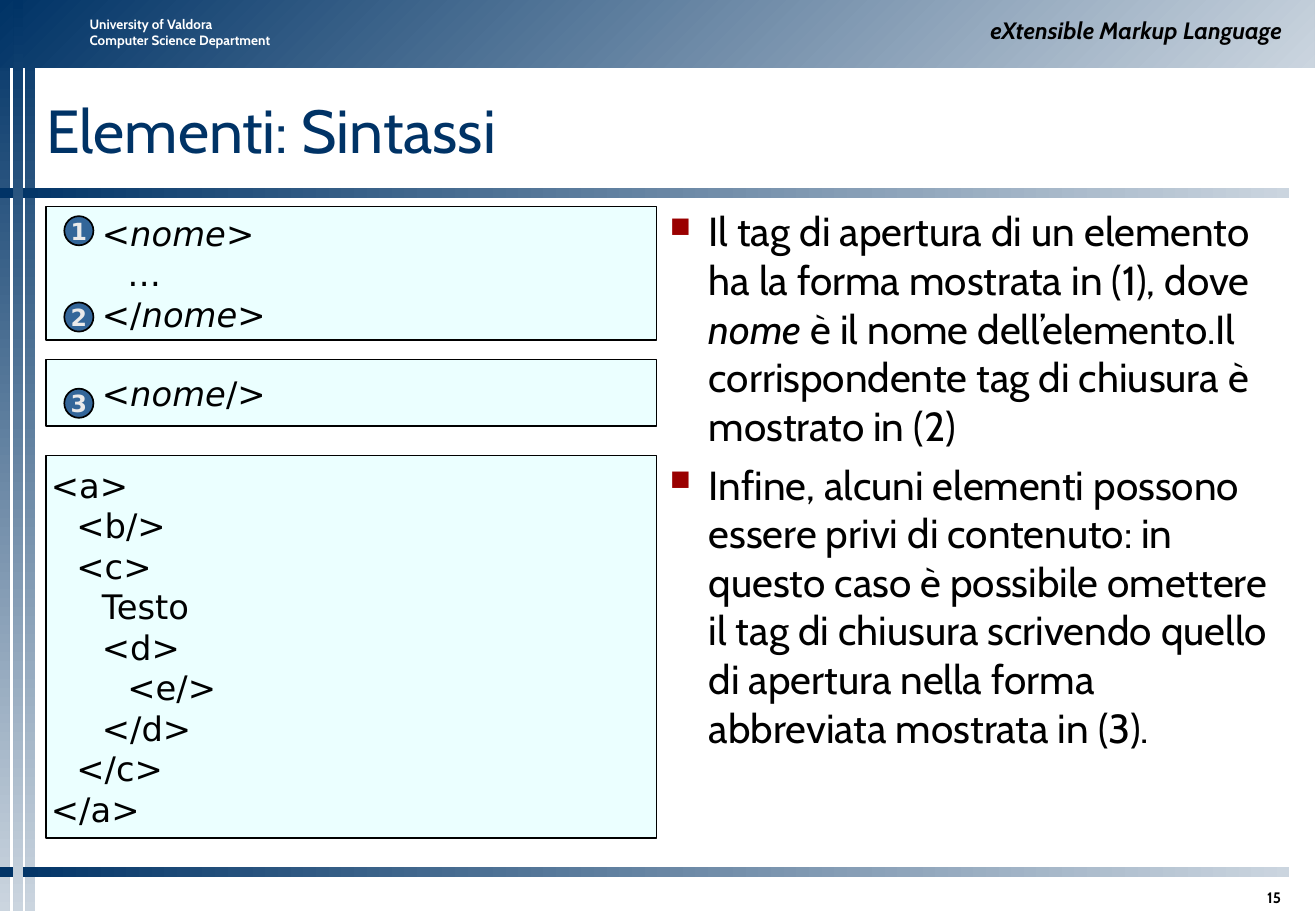
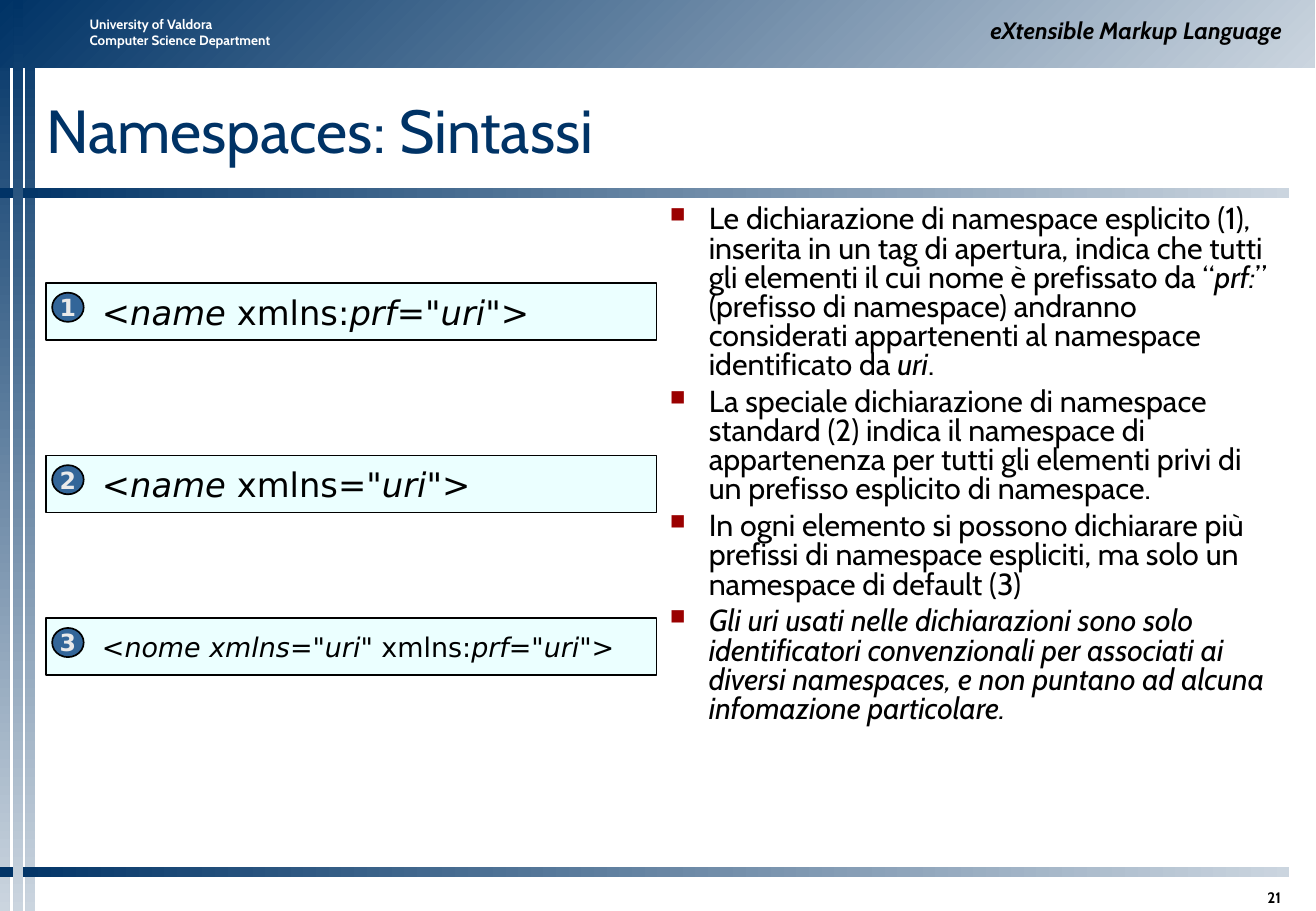
import pptx
import pptx.dml.color
import pptx.enum.shapes
import pptx.enum.text
import pptx.util
from dataclasses import dataclass
from lxml import etree

PX = 9144  # 100 px to the inch
SHAPE = pptx.enum.shapes.MSO_SHAPE
ANCHOR = pptx.enum.text.MSO_ANCHOR
ALIGN = pptx.enum.text.PP_ALIGN


@dataclass(frozen=True)
class Theme:
    navy: str = "003366"
    mist: str = "CBD5DF"
    white: str = "FFFFFF"
    black: str = "000000"
    code_fill: str = "EBFFFF"
    badge_fill: str = "336699"
    badge_text: str = "EAEAEA"
    bullet: str = "9A0000"
    font: str = "Cabin"
    code_font: str = "DejaVu Sans"
    title_size: int = 36
    code_size: int = 20
    header_size: int = 14
    badge_size: int = 14
    page_size: int = 9
    department_size: int = 8


THEME = Theme()

# Bands from back to front: box, gradient angle (navy to mist)
BANDS = [
    ((0, 0, 8, 750), 270),
    ((21, 0, 8, 750), 270),
    ((0, 0, 1083, 56), 315),
    ((0, 155, 1062, 8), 0),
    ((0, 714, 1062, 8), 0),
    ((11, 0, 8, 750), 270),
]
DEPARTMENT = ["University of Valdora", "Computer Science Department"]
COURSE = ["*eXtensible Markup Language*"]

CODE_LEFT, CODE_WIDTH, CODE_INDENT = 38, 503, 21
BODY_BOX = (542, 170, 521, 542)
BADGE_HEIGHT = 24

# Text between asterisks is italic; each leading tab is one code indent.
SLIDES = [
    {
        "title": "Elementi: Sintassi",
        "page": "15",
        "body_format": {"size": 24, "before": 6},
        "body": [
            "Il tag di apertura di un elemento ha la forma mostrata in (1), dove *nome* "
            "è il nome dell’elemento.Il corrispondente tag di chiusura è mostrato in (2)",
            "Infine, alcuni elementi possono essere privi di contenuto: in questo caso è "
            "possibile omettere il tag di chiusura scrivendo quello di apertura nella "
            "forma abbreviata mostrata in (3).",
        ],
        "code": [  # top, height, size, lines
            (170, 110, THEME.code_size, ["\t\t<*nome*>", "\t\t\t…", "\t\t</*nome*>"]),
            (296, 55, THEME.code_size, ["\t\t<*nome*/>"]),
            (375, 315, THEME.code_size, [
                "<a>", "\t<b/>", "\t<c>", "\t\tTesto", "\t\t<d>",
                "\t\t\t<e/>", "\t\t</d>", "\t</c>", "</a>",
            ]),
        ],
        "badges": {"left": 53, "width": 24, "tops": [178, 249, 320]},
    },
    {
        "title": "Namespaces: Sintassi",
        "page": "21",
        "body_format": {"size": 18, "before": 4.5, "spacing": 0.8},
        "body": [
            "Le dichiarazione di namespace esplicito (1), inserita in un tag di apertura, "
            "indica che tutti gli elementi il cui nome è prefissato da “*prf:*” (prefisso "
            "di namespace) andranno considerati appartenenti al namespace identificato "
            "da *uri*.",
            "La speciale dichiarazione di namespace standard (2) indica il namespace di "
            "appartenenza per tutti gli elementi privi di un prefisso esplicito di "
            "namespace.",
            "In ogni elemento si possono dichiarare più prefissi di namespace espliciti, "
            "ma solo un namespace di default (3)",
            "*Gli uri usati nelle dichiarazioni sono solo identificatori convenzionali "
            "per associati ai diversi namespaces, e non puntano ad alcuna infomazione "
            "particolare.*",
        ],
        "code": [
            (233, 47, THEME.code_size, ['\t\t<*name* xmlns:*prf*="*uri*">']),
            (375, 47, THEME.code_size, ['\t\t<*name* xmlns="*uri*">']),
            (509, 47, 16, ['\t\t<*nome xmlns*="*uri*" xmlns:*prf*="*uri*">']),
        ],
        "badges": {"left": 43, "width": 26, "tops": [241, 383, 517]},
    },
]


def emu(box):
    return [v * PX for v in box]


def rgb(color):
    return pptx.dml.color.RGBColor.from_string(color)


def add_bullet(p):
    p_pr = p._p.get_or_add_pPr()
    p_pr.set("marL", str(32 * PX))
    p_pr.set("indent", str(-32 * PX))
    ns = "{http://schemas.openxmlformats.org/drawingml/2006/main}"
    color = etree.SubElement(p_pr, ns + "buClr")
    etree.SubElement(color, ns + "srgbClr", val=THEME.bullet)
    etree.SubElement(p_pr, ns + "buSzPct", val="70000")
    etree.SubElement(p_pr, ns + "buChar", char="■")


def put_text(sp, lines, *, size, color=THEME.black, font=THEME.font, bold=False,
             align=ALIGN.LEFT, anchor=ANCHOR.TOP, margins=(0, 0, 0, 0), wrap=True,
             before=0, spacing=None, bullet=False):
    """Fill a shape with one paragraph per line, reading italics and indents."""
    tf = sp.text_frame
    tf.auto_size = pptx.enum.text.MSO_AUTO_SIZE.NONE
    tf.word_wrap = wrap
    tf.vertical_anchor = anchor
    tf.margin_left, tf.margin_top, tf.margin_right, tf.margin_bottom = emu(margins)
    for i, line in enumerate(lines):
        p = tf.add_paragraph() if i else tf.paragraphs[0]
        p.alignment = align
        p.space_before = pptx.util.Pt(before)
        if spacing:
            p.line_spacing = spacing
        text = line.lstrip("\t")
        depth = len(line) - len(text)
        if bullet:
            add_bullet(p)
        elif depth:
            p._p.get_or_add_pPr().set("marL", str(depth * CODE_INDENT * PX))
        for k, part in enumerate(text.split("*")):
            if part:
                r = p.add_run()
                r.text = part
                r.font.name = font
                r.font.size = pptx.util.Pt(size)
                r.font.bold = bold
                r.font.italic = k % 2 == 1
                r.font.color.rgb = rgb(color)


def add_text(s, box, lines, **fmt):
    put_text(s.shapes.add_textbox(*emu(box)), lines, **fmt)


def add_band(s, box, angle):
    sp = s.shapes.add_shape(SHAPE.RECTANGLE, *emu(box))
    sp.shadow.inherit = False
    sp.line.fill.background()
    sp.fill.gradient()
    sp.fill.gradient_angle = angle
    for stop, color, position in zip(sp.fill.gradient_stops,
                                     (THEME.navy, THEME.mist), (0, 1)):
        stop.color.rgb = rgb(color)
        stop.position = position


def add_outlined(s, kind, box, fill, lines, **fmt):
    sp = s.shapes.add_shape(kind, *emu(box))
    sp.shadow.inherit = False
    sp.fill.solid()
    sp.fill.fore_color.rgb = rgb(fill)
    sp.line.color.rgb = rgb(THEME.black)
    sp.line.width = pptx.util.Pt(1)
    put_text(sp, lines, anchor=ANCHOR.MIDDLE, font=THEME.code_font, **fmt)


def build_frame(s, layout):
    """Draw the shared bands and headers, then move them to the layout."""
    for box, angle in BANDS:
        add_band(s, box, angle)
    add_text(s, (64, 8, 201, 37), DEPARTMENT, size=THEME.department_size,
             color=THEME.white, bold=True, margins=(10, 5, 10, 5))
    add_text(s, (542, 8, 524, 33), COURSE, size=THEME.header_size, bold=True,
             align=ALIGN.RIGHT, anchor=ANCHOR.BOTTOM, margins=(10, 5, 10, 5))
    frame = [sp for sp in s.shapes if not sp.is_placeholder]
    for number, sp in enumerate(frame, 100):
        sp.element.nvSpPr.cNvPr.id = number
        layout.shapes.element.append(sp.element)


def build_slide(s, content):
    title = s.shapes.title
    title.left, title.top, title.width, title.height = emu((38, 58, 1027, 96))
    put_text(title, [content["title"]], size=THEME.title_size, color=THEME.navy,
             anchor=ANCHOR.MIDDLE)
    add_text(s, BODY_BOX, content["body"], margins=(10, 0, 10, 0), bullet=True,
             **content["body_format"])
    for top, height, size, lines in content["code"]:
        add_outlined(s, SHAPE.RECTANGLE, (CODE_LEFT, top, CODE_WIDTH, height),
                     THEME.code_fill, lines, size=size, margins=(4, 4, 4, 4))
    badges = content["badges"]
    for number, top in enumerate(badges["tops"], 1):
        add_outlined(s, SHAPE.OVAL, (badges["left"], top, badges["width"], BADGE_HEIGHT),
                     THEME.badge_fill, [str(number)], size=THEME.badge_size,
                     color=THEME.badge_text, bold=True, align=ALIGN.CENTER, wrap=False)
    add_text(s, (947, 721, 118, 25), [content["page"]], size=THEME.page_size, bold=True,
             align=ALIGN.RIGHT, anchor=ANCHOR.BOTTOM, margins=(10, 5, 10, 0))


def main():
    prs = pptx.Presentation()
    prs.slide_width, prs.slide_height = emu((1084, 750))
    layout = prs.slide_layouts.get_by_name("Title Only")
    for i, content in enumerate(SLIDES):
        s = prs.slides.add_slide(layout)
        if i == 0:
            build_frame(s, layout)
        build_slide(s, content)
    prs.save("out.pptx")


if __name__ == "__main__":
    main()
